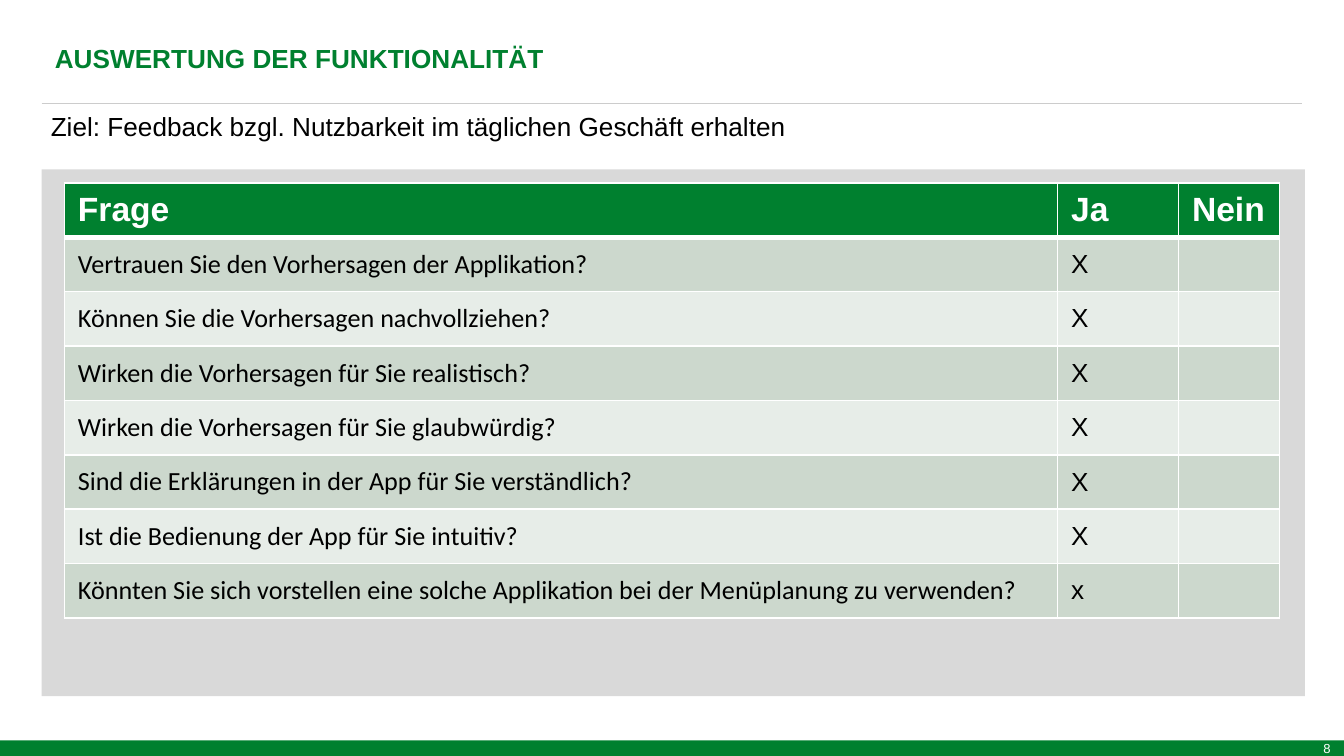
from dataclasses import dataclass

from lxml.etree import SubElement
from pptx import Presentation
from pptx.dml.color import RGBColor
from pptx.enum.shapes import MSO_CONNECTOR as Connector, MSO_SHAPE as Shape
from pptx.enum.text import MSO_ANCHOR as Anchor, PP_ALIGN as Align
from pptx.oxml.ns import qn
from pptx.util import Inches, Pt

COLORS = {
    "green": "00802F",
    "white": "FFFFFF",
    "black": "000000",
    "panel": "D9D9D9",
    "rule": "CCCCCC",
    "band_dark": "CCD8CD",
    "band_light": "E7EDE8",
}


@dataclass(frozen=True)
class Box:
    left: float
    top: float
    width: float
    height: float

    def lengths(self) -> tuple:
        return tuple(Inches(v) for v in (self.left, self.top, self.width, self.height))


@dataclass(frozen=True)
class Style:
    size: float
    color: str
    bold: bool = False
    font: str = "Arial"


@dataclass(frozen=True)
class Answer:
    question: str
    yes: str = "X"
    no: str = ""


ANSWERS = [
    Answer("Vertrauen Sie den Vorhersagen der Applikation?"),
    Answer("Können Sie die Vorhersagen nachvollziehen?"),
    Answer("Wirken die Vorhersagen für Sie realistisch?"),
    Answer("Wirken die Vorhersagen für Sie glaubwürdig?"),
    Answer("Sind die Erklärungen in der App für Sie verständlich?"),
    Answer("Ist die Bedienung der App für Sie intuitiv?"),
    Answer("Könnten Sie sich vorstellen eine solche Applikation bei der "
           "Menüplanung zu verwenden?", yes="x"),
]
HEADER = Style(18, "white", bold=True)
QUESTION = Style(14, "black", font="Calibri")
MARK = Style(14, "black")
COLUMN_WIDTHS = (7.39, 0.9, 0.75)


def rgb(name: str) -> RGBColor:
    return RGBColor.from_string(COLORS[name])


def write(frame, text: str, style: Style):
    paragraph = frame.paragraphs[0]
    paragraph.text = text
    font = paragraph.font
    font.name, font.size, font.bold = style.font, Pt(style.size), style.bold
    font.color.rgb = rgb(style.color)
    return paragraph


def add_panel(slide, box: Box, color: str):
    panel = slide.shapes.add_shape(Shape.RECTANGLE, *box.lengths())
    panel.shadow.inherit = False
    panel.fill.solid()
    panel.fill.fore_color.rgb = rgb(color)
    panel.line.fill.background()
    return panel


def add_text(slide, box: Box, text: str, style: Style):
    frame = slide.shapes.add_textbox(*box.lengths()).text_frame
    frame.word_wrap = True
    return write(frame, text, style)


def add_borders(cell, top: float, bottom: float) -> None:
    properties = cell._tc.get_or_add_tcPr()
    widths = {"lnL": 1, "lnR": 1, "lnT": top, "lnB": bottom}
    for position, (side, width) in enumerate(widths.items()):
        border = properties.makeelement(qn(f"a:{side}"), {"w": str(Pt(width))})
        fill = SubElement(border, qn("a:solidFill"))
        SubElement(fill, qn("a:srgbClr"), val=COLORS["white"])
        properties.insert(position, border)


def fill_cell(cell, text: str, style: Style, color: str,
              top: float = 1, bottom: float = 1) -> None:
    cell.vertical_anchor = Anchor.MIDDLE
    cell.fill.solid()
    cell.fill.fore_color.rgb = rgb(color)
    write(cell.text_frame, text, style)
    add_borders(cell, top, bottom)


def add_answers(slide, box: Box) -> None:
    row_count = len(ANSWERS) + 1
    table = slide.shapes.add_table(row_count, len(COLUMN_WIDTHS), *box.lengths()).table
    for column, width in zip(table.columns, COLUMN_WIDTHS):
        column.width = Inches(width)
    for row in table.rows:
        row.height = Inches(box.height / row_count)

    for column, heading in enumerate(("Frage", "Ja", "Nein")):
        fill_cell(table.cell(0, column), heading, HEADER, "green", bottom=3)
    for row, answer in enumerate(ANSWERS, start=1):
        band = "band_dark" if row % 2 else "band_light"
        # The first answer shares the header's thick lower edge
        top = 3 if row == 1 else 1
        entries = ((answer.question, QUESTION), (answer.yes, MARK), (answer.no, MARK))
        for column, (text, style) in enumerate(entries):
            fill_cell(table.cell(row, column), text, style, band, top=top)


def main() -> None:
    prs = Presentation()
    prs.slide_width = Inches(10)
    prs.slide_height = prs.slide_width * 9 // 16
    slide = prs.slides.add_slide(prs.slide_layouts[6])

    # Footer with page number
    footer = add_panel(slide, Box(0, 5.51, 10, 0.12), "green").text_frame
    footer.vertical_anchor = Anchor.MIDDLE
    footer.margin_top = footer.margin_bottom = 0
    write(footer, "8", Style(7, "white")).alignment = Align.RIGHT

    # Title and the rule below it
    rule = slide.shapes.add_connector(
        Connector.STRAIGHT, Inches(0.31), Inches(0.77), Inches(9.69), Inches(0.77))
    rule.line.color.rgb = rgb("rule")
    rule.line.width = Pt(0.5)
    SubElement(rule._element.spPr, qn("a:effectLst"))
    add_text(slide, Box(0.31, 0.27, 7.87, 0.34), "AUSWERTUNG DER FUNKTIONALITÄT",
             Style(14, "green", bold=True))

    # Goal and answers
    add_panel(slide, Box(0.31, 1.26, 9.4, 3.92), "panel")
    goal = add_text(slide, Box(0.28, 0.77, 9.53, 0.34),
                    "Ziel: Feedback bzgl. Nutzbarkeit im täglichen Geschäft erhalten",
                    Style(14, "black"))
    goal.space_after = Pt(12)
    add_answers(slide, Box(0.48, 1.36, sum(COLUMN_WIDTHS), 3.24))

    prs.save("out.pptx")


if __name__ == "__main__":
    main()
